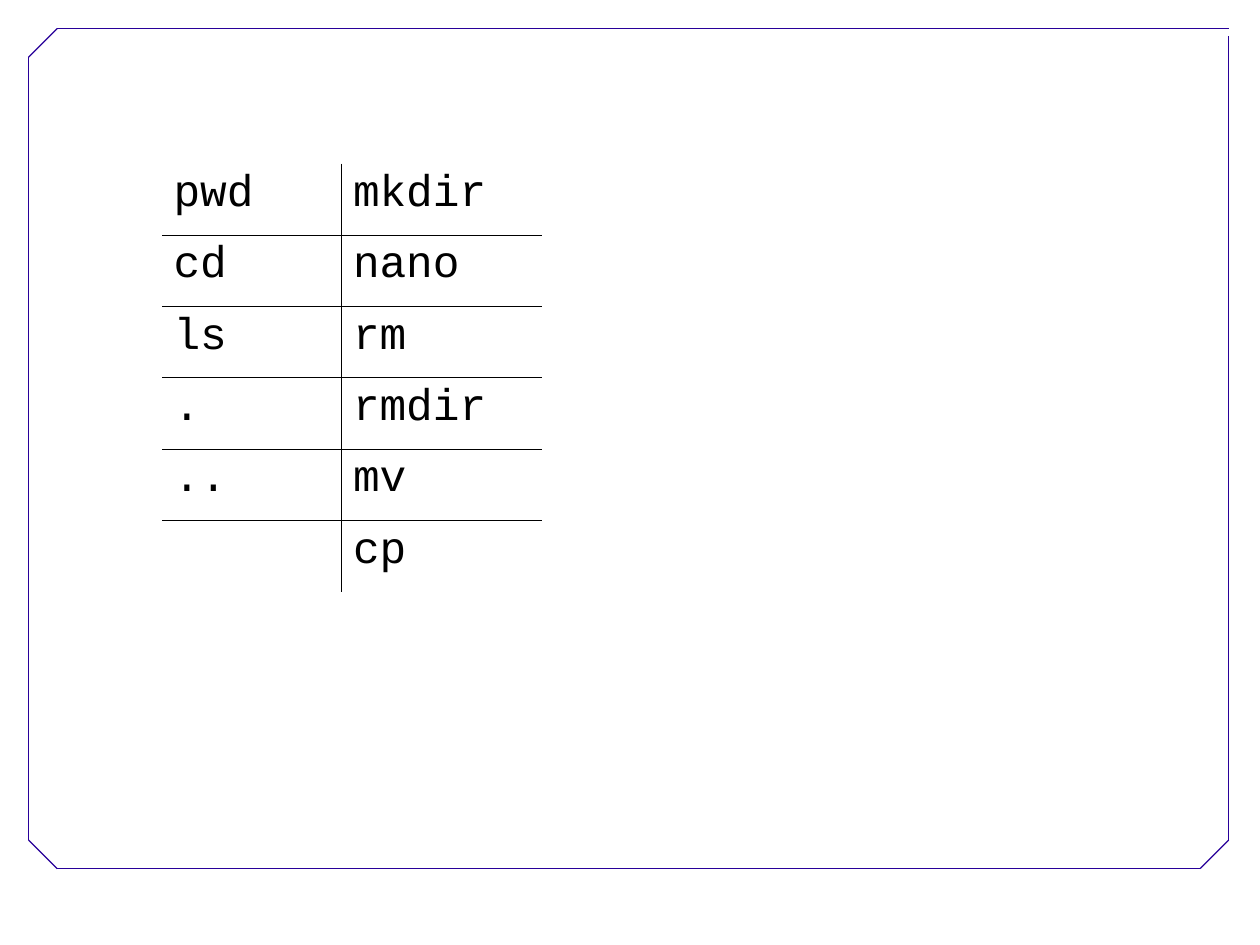
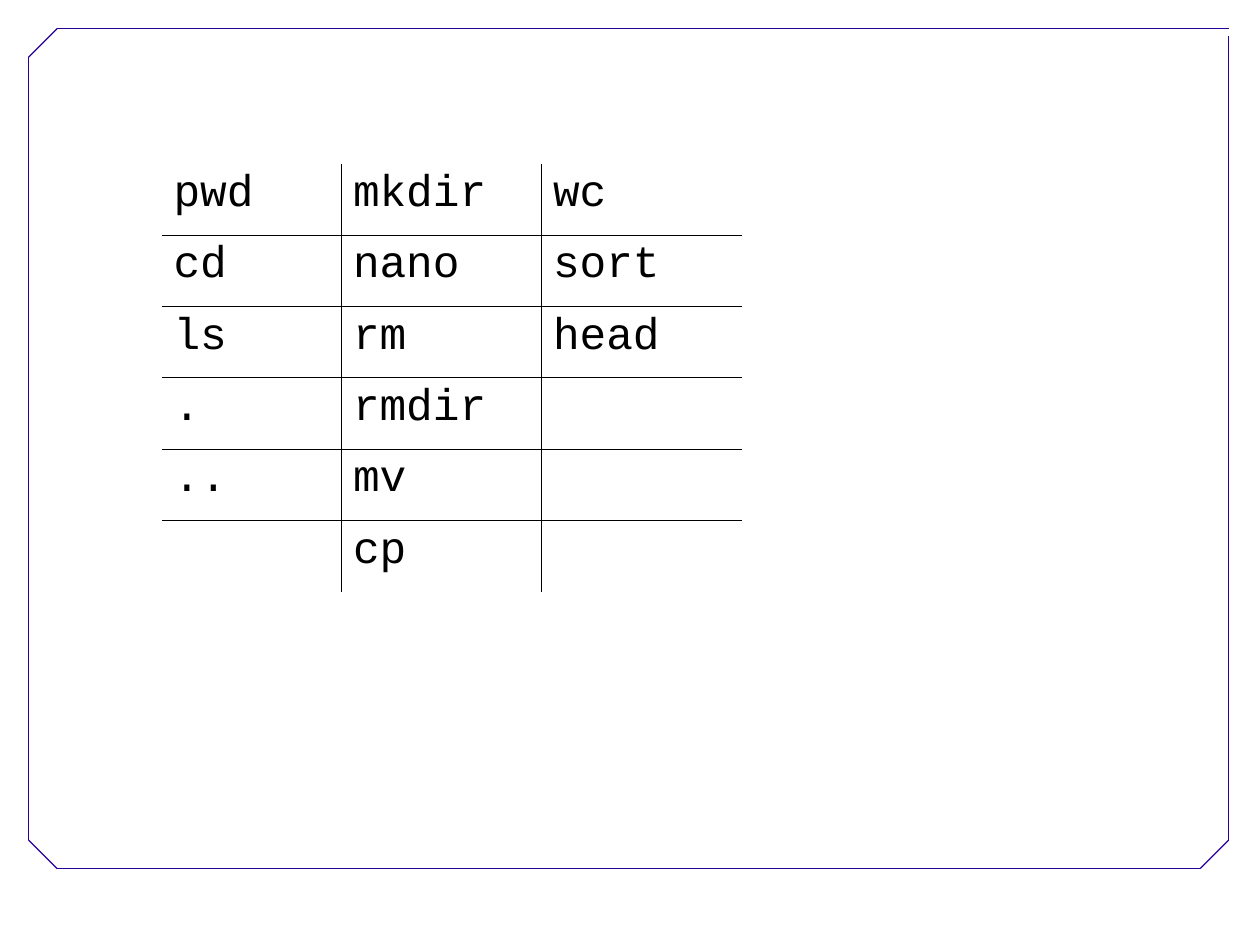
from dataclasses import dataclass
from itertools import pairwise, zip_longest

from lxml.etree import SubElement
from pptx import Presentation
from pptx.dml.color import RGBColor
from pptx.enum.shapes import MSO_CONNECTOR as Connector
from pptx.oxml.ns import qn
from pptx.util import Pt


@dataclass(frozen=True)
class Theme:
    frame: str = "280099"
    ink: str = "000000"
    font: str = "Courier New"
    text_size: float = 28
    frame_width: float = 0.75
    rule_width: float = 0.45


THEME = Theme()
SLIDE_WIDTH, SLIDE_HEIGHT = 793.7, 595.3

# Frame edges and the size of its cut corners
LEFT, TOP, RIGHT, BOTTOM, CUT = 18, 18, 774, 547.2, 18
TOP_RIGHT_GAP = 5

TABLE_LEFT, TABLE_TOP, ROW_HEIGHT = 102.2, 103, 45
FIRST_COLUMN, OTHER_COLUMN = 113, 126

NAVIGATION = ["pwd", "cd", "ls", ".", ".."]
FILES = ["mkdir", "nano", "rm", "rmdir", "mv", "cp"]
TEXT_TOOLS = ["wc", "sort", "head"]


def add_frame_line(slide, start, end):
    line = slide.shapes.add_connector(
        Connector.STRAIGHT, *(Pt(value) for value in start + end))
    line.line.color.rgb = RGBColor.from_string(THEME.frame)
    line.line.width = Pt(THEME.frame_width)
    SubElement(line.element.spPr, qn("a:effectLst"))
    return line


def move_frame_to_layout(slide):
    """Draw the frame once and place it on the slide's layout."""
    outline = [
        (RIGHT, TOP), (LEFT + CUT, TOP), (LEFT, TOP + CUT),
        (LEFT, BOTTOM - CUT), (LEFT + CUT, BOTTOM),
        (RIGHT - CUT, BOTTOM), (RIGHT, BOTTOM - CUT),
        (RIGHT, TOP + TOP_RIGHT_GAP),
    ]
    layout_tree = slide.slide_layout.shapes.element
    for start, end in pairwise(outline):
        layout_tree.append(add_frame_line(slide, start, end).element)


def set_borders(cell, inner_sides):
    """Rule the inner sides of a cell and leave the others open."""
    properties = cell._tc.get_or_add_tcPr()
    for side in "LRTB":
        border = SubElement(properties, qn(f"a:ln{side}"),
                            w=str(Pt(THEME.rule_width)))
        if side in inner_sides:
            fill = SubElement(border, qn("a:solidFill"))
            SubElement(fill, qn("a:srgbClr"), val=THEME.ink)
        else:
            SubElement(border, qn("a:noFill"))


def write_command(cell, command):
    paragraph = cell.text_frame.paragraphs[0]
    paragraph.line_spacing = 0.93
    run = paragraph.add_run()
    run.text = command
    run.font.name = THEME.font
    run.font.size = Pt(THEME.text_size)
    run.font.color.rgb = RGBColor.from_string(THEME.ink)


def add_command_table(slide, groups):
    """Add a table with one column for each group of commands."""
    rows = list(zip_longest(*groups, fillvalue=""))
    widths = [FIRST_COLUMN] + [OTHER_COLUMN] * (len(groups) - 1)
    table = slide.shapes.add_table(
        len(rows), len(widths), Pt(TABLE_LEFT), Pt(TABLE_TOP),
        Pt(sum(widths)), Pt(ROW_HEIGHT * len(rows))).table
    table.first_row = table.horz_banding = False
    for column, width in zip(table.columns, widths):
        column.width = Pt(width)
    for r, commands in enumerate(rows):
        for c, command in enumerate(commands):
            cell = table.cell(r, c)
            inner = {"L": c > 0, "R": c < len(widths) - 1,
                     "T": r > 0, "B": r < len(rows) - 1}
            set_borders(cell, [side for side, ruled in inner.items() if ruled])
            cell.fill.background()
            if command:
                write_command(cell, command)


def main():
    deck = Presentation()
    deck.slide_width, deck.slide_height = Pt(SLIDE_WIDTH), Pt(SLIDE_HEIGHT)
    blank = deck.slide_layouts[6]
    for groups in ([NAVIGATION, FILES], [NAVIGATION, FILES, TEXT_TOOLS]):
        add_command_table(deck.slides.add_slide(blank), groups)
    move_frame_to_layout(deck.slides[0])
    deck.save("out.pptx")


if __name__ == "__main__":
    main()
